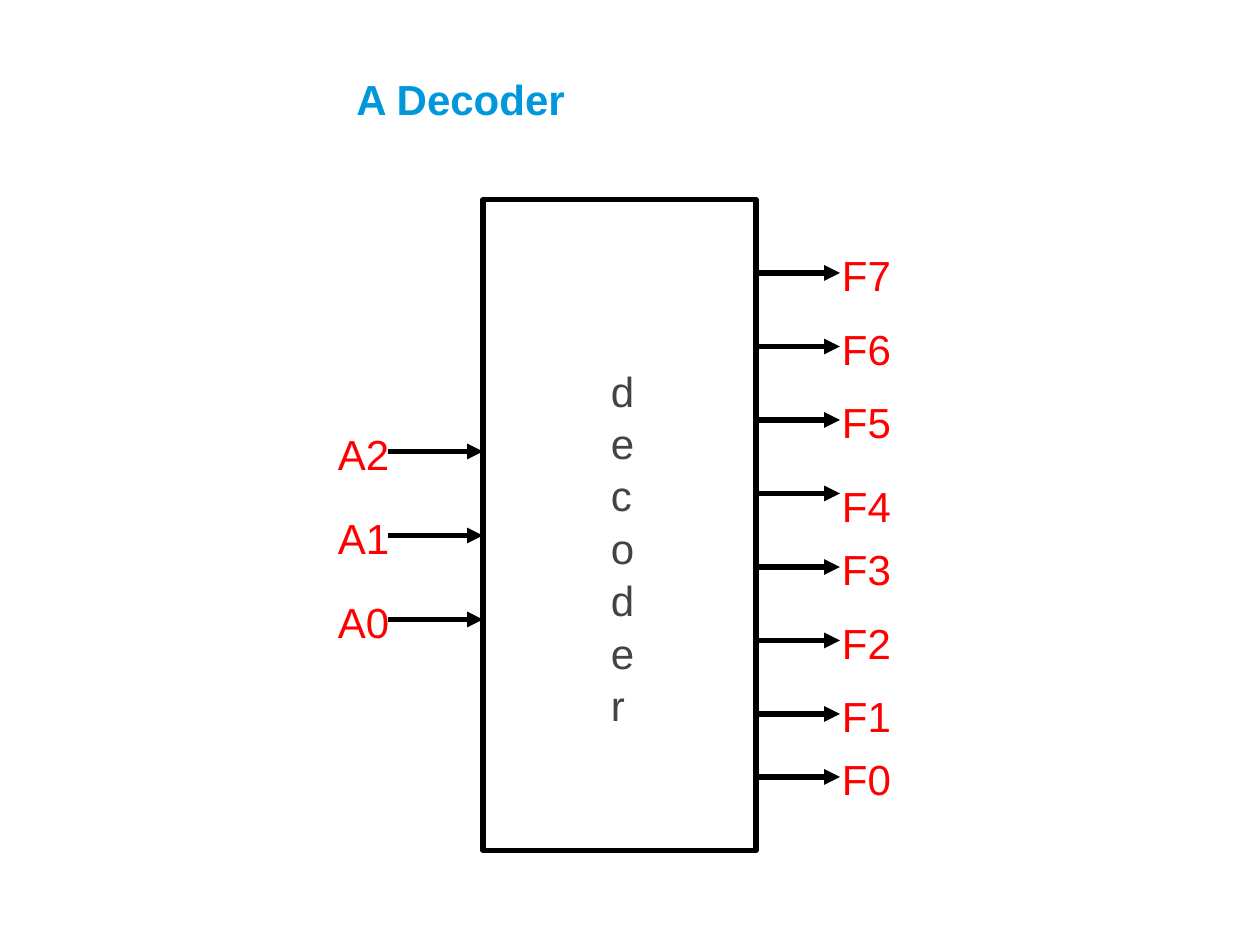
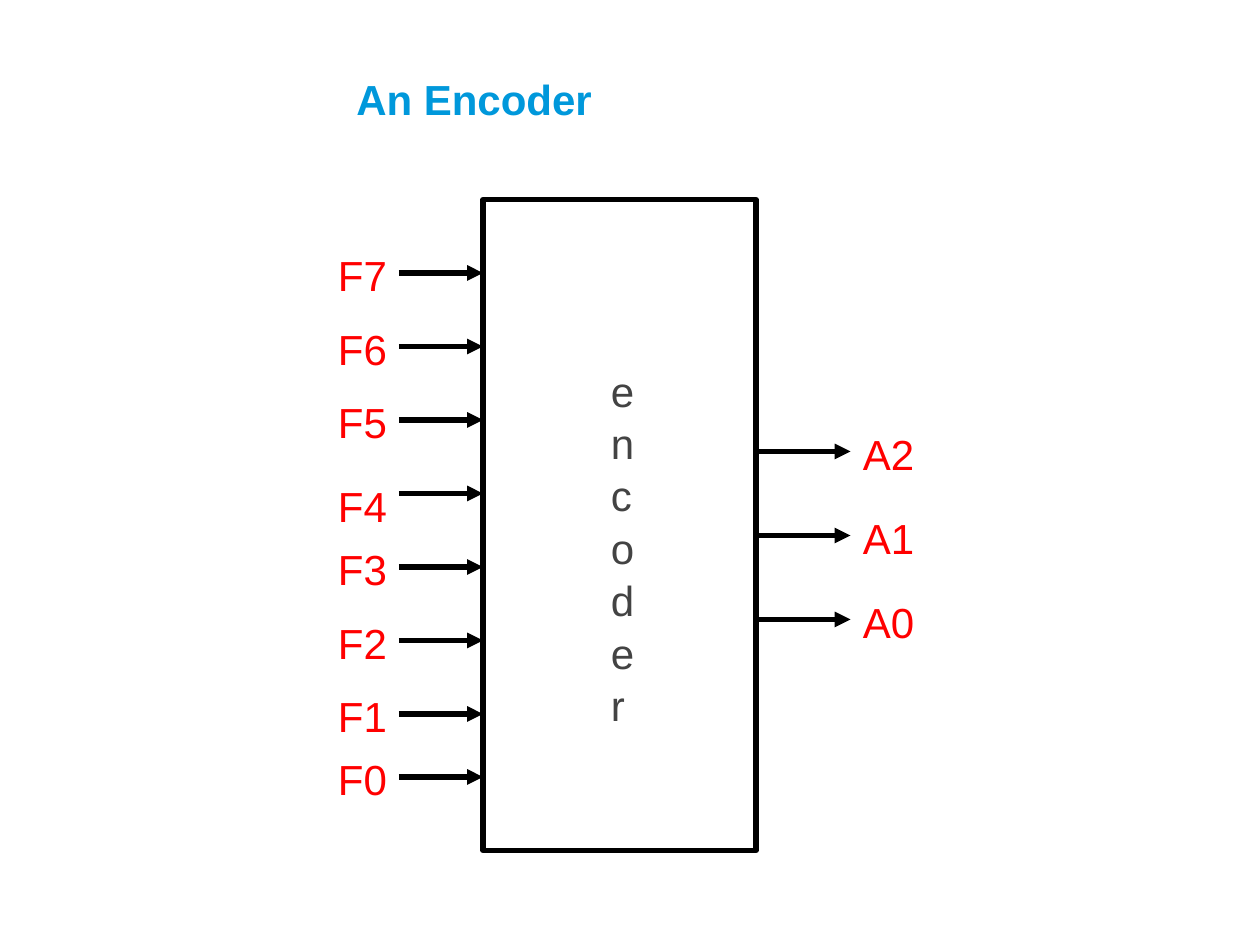
from typing import NamedTuple

from pptx import Presentation
from pptx.dml.color import RGBColor
from pptx.enum.shapes import MSO_CONNECTOR as CONN, MSO_SHAPE as SHAPE
from pptx.enum.text import MSO_ANCHOR as ANCHOR
from pptx.oxml.ns import qn
from pptx.util import Inches, Pt
from lxml.etree import SubElement

BLUE = RGBColor(0x00, 0x98, 0xDB)
RED = RGBColor(0xFF, 0x00, 0x00)
GREY = RGBColor(0x43, 0x43, 0x43)
BLACK = RGBColor(0x00, 0x00, 0x00)

COLS, ROWS = 120, 90
WIDTH, HEIGHT = Inches(10), Inches(7.5)
FONT = {"name": "Arial", "size": Pt(24)}
LINE = Pt(3)
LINE_SPACING = 1.04

# Grid columns and rows of the block
BLOCK_LEFT, BLOCK_TOP, BLOCK_COLS, BLOCK_ROWS = 46, 19, 26, 62
BLOCK_RIGHT = BLOCK_LEFT + BLOCK_COLS
LABEL_COLS, LABEL_ROWS = 8, 6


class Pin(NamedTuple):
    name: str
    row: int
    label_drop: int = 0


class Side(NamedTuple):
    pins: list[Pin]
    label_col: int
    start_col: int
    end_col: int


class Circuit(NamedTuple):
    title: str
    name: str
    inputs: Side
    outputs: Side


ADDRESS = [Pin(f"A{2 - i}", 43 + 8 * i) for i in range(3)]
DATA = [Pin(f"F{7 - i}", 26 + 7 * i) for i in range(7)] + [Pin("F0", 74)]
DATA[3] = DATA[3]._replace(label_drop=1)

CIRCUITS = [
    Circuit("A Decoder", "decoder",
            inputs=Side(ADDRESS, 31, 37, BLOCK_LEFT),
            outputs=Side(DATA, 79, BLOCK_RIGHT, 80)),
    Circuit("An Encoder", "encoder",
            inputs=Side(DATA, 31, 38, BLOCK_LEFT),
            outputs=Side(ADDRESS, 81, BLOCK_RIGHT, 81)),
]


def x(col: float) -> int:
    return round(WIDTH * col / COLS)


def y(row: float) -> int:
    return round(HEIGHT * row / ROWS)


def add_text(slide, text: str, left: float, top: float, cols: float, rows: float,
             color: RGBColor, bold: bool = False, anchor=ANCHOR.TOP,
             spacing: float = LINE_SPACING) -> None:
    tf = slide.shapes.add_textbox(x(left), y(top), x(cols), y(rows)).text_frame
    tf.word_wrap = True
    tf.vertical_anchor = anchor
    p = tf.paragraphs[0]
    p.line_spacing = spacing
    r = p.add_run()
    r.text = text
    for key, value in {**FONT, "bold": bold}.items():
        setattr(r.font, key, value)
    r.font.color.rgb = color


def add_block(slide, name: str) -> None:
    sp = slide.shapes.add_shape(SHAPE.RECTANGLE, x(BLOCK_LEFT), y(BLOCK_TOP),
                                x(BLOCK_COLS), y(BLOCK_ROWS))
    sp.shadow.inherit = False
    sp.fill.background()
    sp.line.color.rgb = BLACK
    sp.line.width = LINE
    # The narrow box wraps the name to one letter a line
    add_text(slide, name, 57, 34, 4, 35, GREY)


def add_arrow(slide, start_col: float, end_col: float, row: float) -> None:
    line = slide.shapes.add_connector(CONN.STRAIGHT, x(start_col), y(row),
                                      x(end_col), y(row))
    line.line.color.rgb = BLACK
    line.line.width = LINE
    SubElement(line.line._get_or_add_ln(), qn("a:tailEnd"), type="triangle")
    SubElement(line._element.spPr, qn("a:effectLst"))


def add_side(slide, side: Side) -> None:
    for pin in side.pins:
        add_text(slide, pin.name, side.label_col,
                 pin.row - LABEL_ROWS / 2 + pin.label_drop,
                 LABEL_COLS, LABEL_ROWS, RED)
        add_arrow(slide, side.start_col, side.end_col, pin.row)


def add_circuit(prs, circuit: Circuit) -> None:
    slide = prs.slides.add_slide(prs.slide_layouts[6])
    add_text(slide, circuit.title, 32.75, 6.15, 68, 6.2, BLUE, bold=True,
             anchor=ANCHOR.BOTTOM, spacing=1.0)
    add_block(slide, circuit.name)
    for side in (circuit.inputs, circuit.outputs):
        add_side(slide, side)


def main() -> None:
    prs = Presentation()
    prs.slide_width, prs.slide_height = WIDTH, HEIGHT
    for circuit in CIRCUITS:
        add_circuit(prs, circuit)
    prs.save("out.pptx")


if __name__ == "__main__":
    main()
